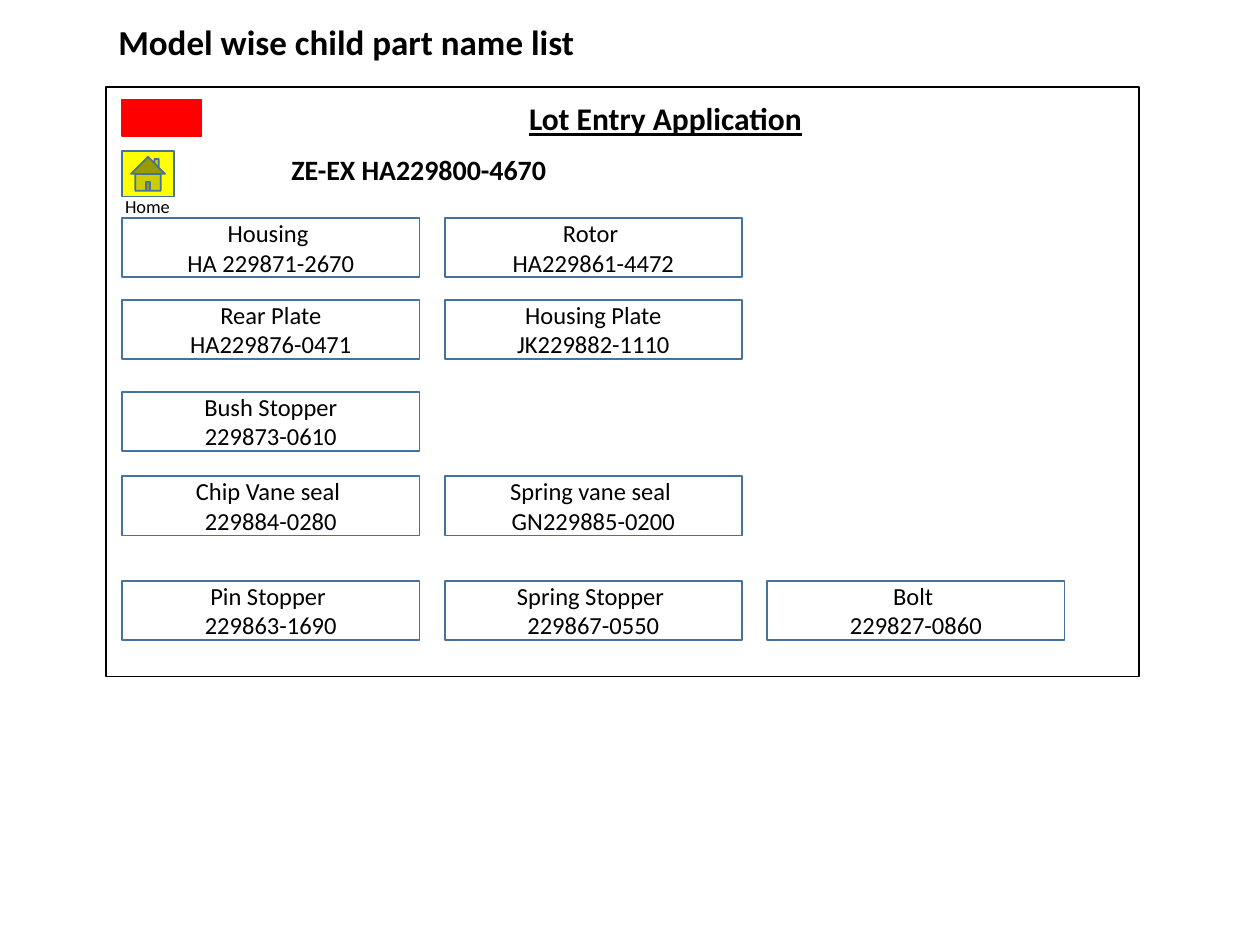
from pptx import Presentation
from pptx.dml.color import RGBColor
from pptx.enum.shapes import MSO_SHAPE
from pptx.enum.text import MSO_ANCHOR, PP_ALIGN
from pptx.util import Inches, Pt

THEME = {
    "font": "Calibri",
    "ink": "000000",
    "brand": "FF0000",
    "edge": "43739E",
    "card": "FFFFFF",
    "home": "FFFF00",
    "heading": 20,
    "title": 18,
    "model": 16,
    "part": 14,
    "label": 10.5,
}


def write(box, lines, align, wrap, anchor):
    frame = box.text_frame
    frame.word_wrap = wrap
    frame.vertical_anchor = anchor
    for index, (text, size, styles) in enumerate(lines):
        para = frame.paragraphs[0] if index == 0 else frame.add_paragraph()
        para.alignment = align
        span = para.add_run()
        span.text = text
        span.font.color.rgb = RGBColor.from_string(THEME["ink"])
        formats = {"name": THEME["font"], "size": Pt(THEME[size]), **styles}
        for name, value in formats.items():
            setattr(span.font, name, value)


def outline(shapes, kind, place, fill, line):
    shape = shapes.add_shape(kind, *map(Inches, place))
    shape.shadow.inherit = False
    if fill:
        shape.fill.solid()
        shape.fill.fore_color.rgb = RGBColor.from_string(THEME[fill])
    else:
        shape.fill.background()
    shape.line.color.rgb = RGBColor.from_string(THEME[line])
    shape.line.width = Pt(1)
    return shape


deck = Presentation()
deck.slide_width, deck.slide_height = Inches(10), Inches(7.5)
page = deck.slides.add_slide(deck.slide_layouts[6])

MARGIN = 0.84
COLUMN_LEFT, COLUMN_STEP = 0.97, 2.56
CARD_WIDTH, CARD_HEIGHT = 2.36, 0.47

outline(page.shapes, MSO_SHAPE.RECTANGLE, (MARGIN, 0.69, 8.2, 4.68), None, "ink")
outline(page.shapes, MSO_SHAPE.RECTANGLE, (COLUMN_LEFT, 0.79, 0.63, 0.29), "brand", "brand")

bold = {"bold": True}
home = page.shapes.add_group_shape()
outline(home.shapes, MSO_SHAPE.ACTION_BUTTON_HOME, (COLUMN_LEFT, 1.2, 0.41, 0.36), "home", "edge")

texts = [
    (page, (MARGIN, 0.11, 3.85, 0.44), PP_ALIGN.LEFT, False,
     ("Model wise child part name list", "heading", bold)),
    (page, (4.1, 0.74, 2.39, 0.4), PP_ALIGN.LEFT, False,
     ("Lot Entry Application", "title", {"bold": True, "underline": True})),
    (page, (1.46, 1.16, 3.73, 0.37), PP_ALIGN.CENTER, True,
     ("ZE-EX HA229800-4670", "model", bold)),
    (home, (MARGIN, 1.5, 0.66, 0.29), PP_ALIGN.CENTER, True,
     ("Home", "label", {})),
]
for owner, place, align, wrap, line in texts:
    box = owner.shapes.add_textbox(*map(Inches, place))
    write(box, [line], align, wrap, MSO_ANCHOR.TOP)

part_rows = [
    (1.73, [("Housing ", "HA 229871-2670"), ("Rotor ", "HA229861-4472")]),
    (2.38, [("Rear Plate", "HA229876-0471"), ("Housing Plate", "JK229882-1110")]),
    (3.11, [("Bush Stopper", "229873-0610")]),
    (3.78, [("Chip Vane seal ", "229884-0280"), ("Spring vane seal ", "GN229885-0200")]),
    (4.61, [("Pin Stopper ", "229863-1690"), ("Spring Stopper ", "229867-0550"),
            ("Bolt ", "229827-0860")]),
]
for top, parts in part_rows:
    for column, part in enumerate(parts):
        left = COLUMN_LEFT + column * COLUMN_STEP
        card = outline(page.shapes, MSO_SHAPE.RECTANGLE,
                       (left, top, CARD_WIDTH, CARD_HEIGHT), "card", "edge")
        lines = [(text, "part", {}) for text in part]
        write(card, lines, PP_ALIGN.CENTER, True, MSO_ANCHOR.MIDDLE)

deck.save("out.pptx")
